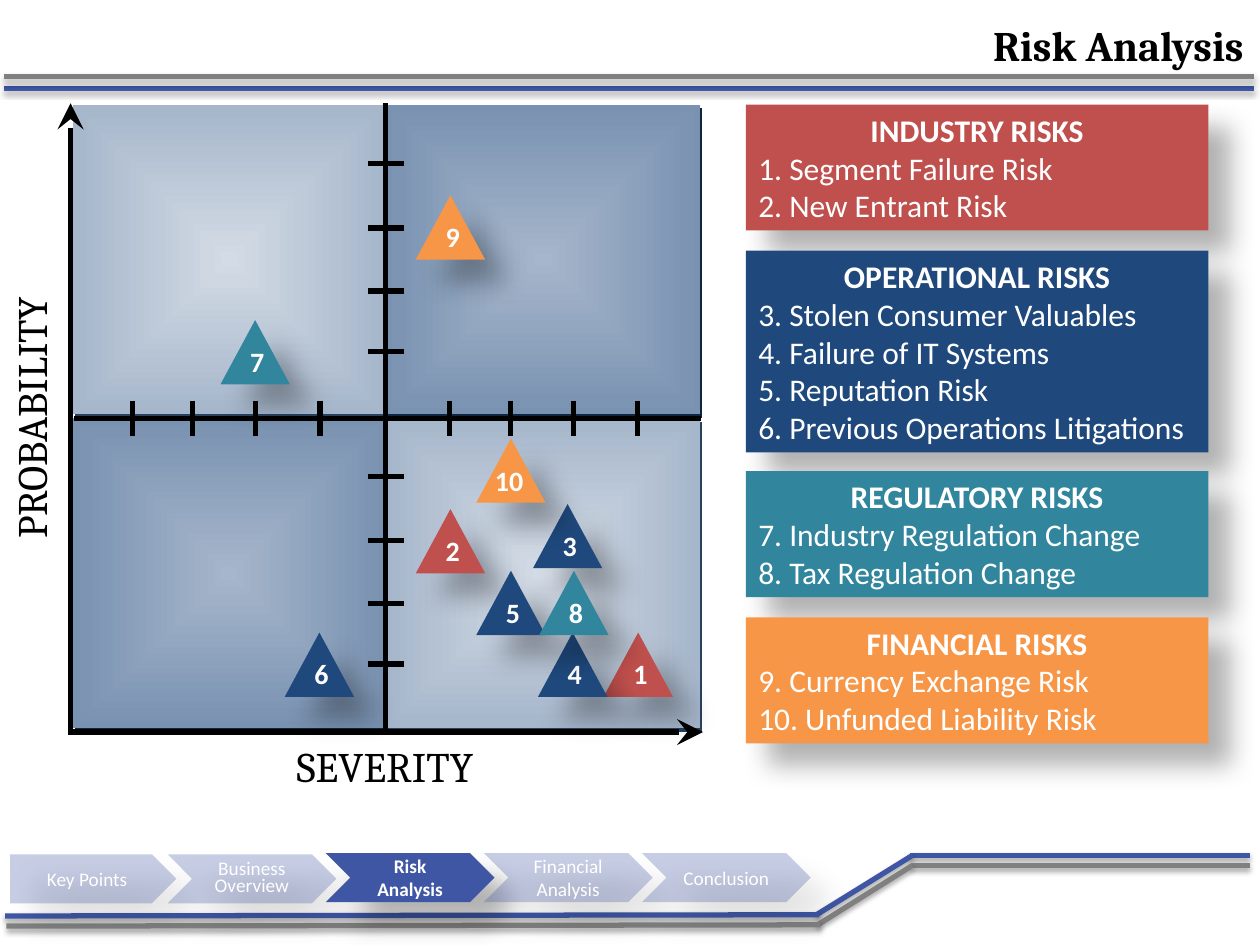
from lxml import etree
from pptx import Presentation
from pptx import util as u
from pptx.dml.color import RGBColor
from pptx.enum import shapes, text
from pptx.oxml.ns import qn

BLUE = RGBColor(0x3E, 0x56, 0xA4)
GRAY = RGBColor(0x80, 0x80, 0x80)
BLACK = RGBColor(0, 0, 0)
WHITE = RGBColor(0xFF, 0xFF, 0xFF)
RED = RGBColor(0xC0, 0x50, 0x4D)
NAVY = RGBColor(0x1F, 0x49, 0x7D)
TEAL = RGBColor(0x31, 0x85, 0x9C)
ORANGE = RGBColor(0xF7, 0x96, 0x46)
PALE = RGBColor(0xD3, 0xDB, 0xE5)
MIST = RGBColor(0xA6, 0xB6, 0xCB)
STEEL = RGBColor(0x79, 0x92, 0xB1)
INK = RGBColor(0x27, 0x41, 0x5F)
NIGHT = RGBColor(0x0F, 0x24, 0x3E)

KIND = shapes.MSO_SHAPE
ALIGN = text.PP_ALIGN
ANCHOR = text.MSO_ANCHOR

# Shadows: colour, opacity %, blur pt, distance pt, angle
SOFT = (BLACK, 30, 15, 18, 45)
THIN = (BLACK, 35, 3.1, 1.8, 90)


def child(node, tag, **attrs):
    return etree.SubElement(node, qn(tag), {k: str(v) for k, v in attrs.items()})


class Deck:
    head, body = "Cambria", "Calibri"

    def __init__(self, slide):
        self.slide = slide

    def shade(self, item, shadow):
        """Set the shadow of a shape or line; None means no shadow."""
        effects = child(item._element.spPr, "a:effectLst")
        if shadow:
            color, alpha, blur, dist, angle = shadow
            outer = child(effects, "a:outerShdw", blurRad=int(u.Pt(blur)),
                          dist=int(u.Pt(dist)), dir=angle * 60000,
                          algn="ctr", rotWithShape=0)
            child(child(outer, "a:srgbClr", val=color), "a:alpha", val=alpha * 1000)

    def fill_text(self, frame, lines, size, color=WHITE, font=body):
        """Each line is (words, bold, alignment)."""
        for i, (words, bold, align) in enumerate(lines):
            para = frame.paragraphs[0] if i == 0 else frame.add_paragraph()
            para.alignment = align
            run = para.add_run()
            run.text = words
            run.font.size, run.font.name = u.Pt(size), font
            run.font.bold, run.font.color.rgb = bold, color

    def title(self, words, box):
        item = self.slide.shapes.title
        item.left, item.top, item.width, item.height = map(u.Inches, box)
        item.text_frame.vertical_anchor = ANCHOR.MIDDLE
        self.fill_text(item.text_frame, [(words, True, ALIGN.RIGHT)], 24, BLACK, self.head)

    def line(self, start, end, color=BLACK, shadow=None, arrow=False):
        item = self.slide.shapes.add_connector(
            shapes.MSO_CONNECTOR.STRAIGHT, *map(u.Inches, start + end))
        item.line.color.rgb, item.line.width = color, u.Pt(3)
        if arrow:
            child(item._element.spPr.find(qn("a:ln")), "a:headEnd",
                  type="stealth", w="lg", len="lg")
        self.shade(item, shadow)

    def shape(self, kind, box, color, shadow=SOFT, alpha=None):
        item = self.slide.shapes.add_shape(kind, *map(u.Inches, box))
        item.fill.solid()
        item.fill.fore_color.rgb = color
        if alpha:
            tint = item._element.spPr.find(".//" + qn("a:srgbClr"))
            child(tint, "a:alpha", val=alpha * 1000)
        item.line.fill.background()
        self.shade(item, shadow)
        return item

    def field(self, box, inner, outer, shadow):
        """A rectangle with a gradient from its centre to its edges."""
        item = self.shape(KIND.RECTANGLE, box, outer, shadow)
        item.fill.gradient()
        for stop, color in zip(item.fill.gradient_stops, (inner, outer)):
            stop.color.rgb = color
        grad = item._element.spPr.find(qn("a:gradFill"))
        grad.remove(grad.find(qn("a:lin")))
        way = child(grad, "a:path", path="shape")
        child(way, "a:fillToRect", l=50000, t=50000, r=50000, b=50000)

    def label(self, words, box, turn=0):
        item = self.slide.shapes.add_textbox(*map(u.Inches, box))
        item.rotation = turn
        frame = item.text_frame
        frame.word_wrap = True
        frame.margin_left = frame.margin_right = u.Inches(0.04)
        frame.margin_top = frame.margin_bottom = u.Inches(0.04)
        self.fill_text(frame, [(words, False, ALIGN.CENTER)], 24, BLACK, self.head)

    def step(self, kind, box, words, active):
        item = self.shape(kind, box, BLUE, alpha=None if active else 29)
        item.text_frame.vertical_anchor = ANCHOR.MIDDLE
        self.fill_text(item.text_frame, [(words, active, ALIGN.CENTER)], 11)
        return item

    def panel(self, top, color, name, risks):
        high = 0.1 + 0.3 * (len(risks) + 1)
        item = self.shape(KIND.RECTANGLE, (5.92, top, 3.67, high), color)
        frame = item.text_frame
        frame.word_wrap = True
        frame.auto_size = text.MSO_AUTO_SIZE.SHAPE_TO_FIT_TEXT
        frame.vertical_anchor = ANCHOR.TOP
        self.fill_text(frame, [(name, True, ALIGN.CENTER)]
                       + [(risk, False, ALIGN.LEFT) for risk in risks], 18)

    def mark(self, num, left, top, color):
        item = self.shape(KIND.ISOSCELES_TRIANGLE, (left, top, 0.55, 0.51), color)
        frame, align = item.text_frame, ALIGN.CENTER
        if num > 9:  # two digits need a box wider than the triangle's own
            box = (left + 0.05, top + 0.15, 0.55, 0.37)
            frame = self.slide.shapes.add_textbox(*map(u.Inches, box)).text_frame
            frame.word_wrap, align = True, ALIGN.LEFT
        else:
            frame.vertical_anchor = ANCHOR.BOTTOM
        self.fill_text(frame, [(str(num), True, align)], 16)


def main():
    prs = Presentation()
    prs.slide_width, prs.slide_height = u.Inches(10), u.Inches(7.5)
    deck = Deck(prs.slides.add_slide(prs.slide_layouts[5]))

    # Title and its double rule
    deck.title("Risk Analysis", (3.25, 0.08, 6.72, 0.55))
    for y, color in ((0.7, BLUE), (0.61, GRAY)):
        deck.line((0.03, y), (9.95, y), color, THIN)

    # Stepped double rule at the foot
    for dx, dy, color in ((0, 0, BLUE), (0.01, 0.08, GRAY)):
        high, low = 6.79 + dy, 7.26 + dy
        for start, end in (((9.92, high), (7.22 + dx, high)),
                           ((7.24, high), (6.48 + dx, low)),
                           ((6.5 + dx, low), (0.04 + dx, low + 0.01))):
            deck.line(start, end, color, THIN)

    # Progress steps
    deck.step(KIND.PENTAGON, (0.08, 6.78, 1.32, 0.39), "Key Points", False)
    steps = ("Business Overview", "Risk Analysis", "Financial Analysis", "Conclusion")
    for i, words in enumerate(steps):
        box = (1.33 + 1.255 * i, 6.77 if i else 6.78, 1.34, 0.39)
        item = deck.step(KIND.CHEVRON, box, words, words == "Risk Analysis")
        if i == 0:
            item.text_frame.paragraphs[0].line_spacing = u.Pt(10)

    # Quadrants
    light = (PALE, MIST, (INK, 100, 0, 2.2, 63))
    dark = (MIST, STEEL, (NIGHT, 100, 0, 2.2, 63))
    for left, top, look in ((0.58, 0.83, light), (3.06, 0.83, dark),
                            (0.58, 3.32, dark), (3.06, 3.32, light)):
        deck.field((left, top, 2.48 if left < 1 else 2.5, 2.46), *look)

    # Axes and their names
    deck.line((5.56, 3.32), (0.59, 3.32))
    deck.line((5.58, 5.81), (0.54, 5.81), arrow=True)
    deck.line((0.56, 0.82), (0.56, 5.83), arrow=True)
    deck.line((3.06, 0.82), (3.06, 5.83))
    deck.label("SEVERITY", (0.56, 5.84, 4.99, 0.41))
    deck.label("PROBABILITY", (-2.29, 3.11, 4.99, 0.41), 270)

    # Ticks
    for x in (1.05, 3.57):
        for gap in (0, 0.48, 0.98, 1.49):
            deck.line((x + gap, 3.18), (x + gap, 3.46))
    for y in (1.3, 3.78):
        for gap in (0, 0.51, 1.01, 1.49):
            deck.line((2.92, y + gap), (3.21, y + gap))

    # Risk lists
    deck.panel(0.83, RED, "INDUSTRY RISKS",
               ["1. Segment Failure Risk", "2. New Entrant Risk"])
    deck.panel(1.99, NAVY, "OPERATIONAL RISKS",
               ["3. Stolen Consumer Valuables", "4. Failure of IT Systems",
                "5. Reputation Risk", "6. Previous Operations Litigations"])
    deck.panel(3.74, TEAL, "REGULATORY RISKS",
               ["7. Industry Regulation Change", "8. Tax Regulation Change"])
    deck.panel(4.9, ORANGE, "FINANCIAL RISKS",
               ["9. Currency Exchange Risk", "10. Unfunded Liability Risk"])

    # Numbered risks on the grid
    for mark in ((2, 3.3, 4.04, RED), (1, 4.79, 5.02, RED),
                 (3, 4.23, 4, NAVY), (4, 4.27, 5.02, NAVY),
                 (5, 3.78, 4.53, NAVY), (6, 2.26, 5.02, NAVY),
                 (7, 1.75, 2.54, TEAL), (8, 4.28, 4.53, TEAL),
                 (9, 3.3, 1.55, ORANGE), (10, 3.78, 3.48, ORANGE)):
        deck.mark(*mark)

    prs.save("out.pptx")


if __name__ == "__main__":
    main()
